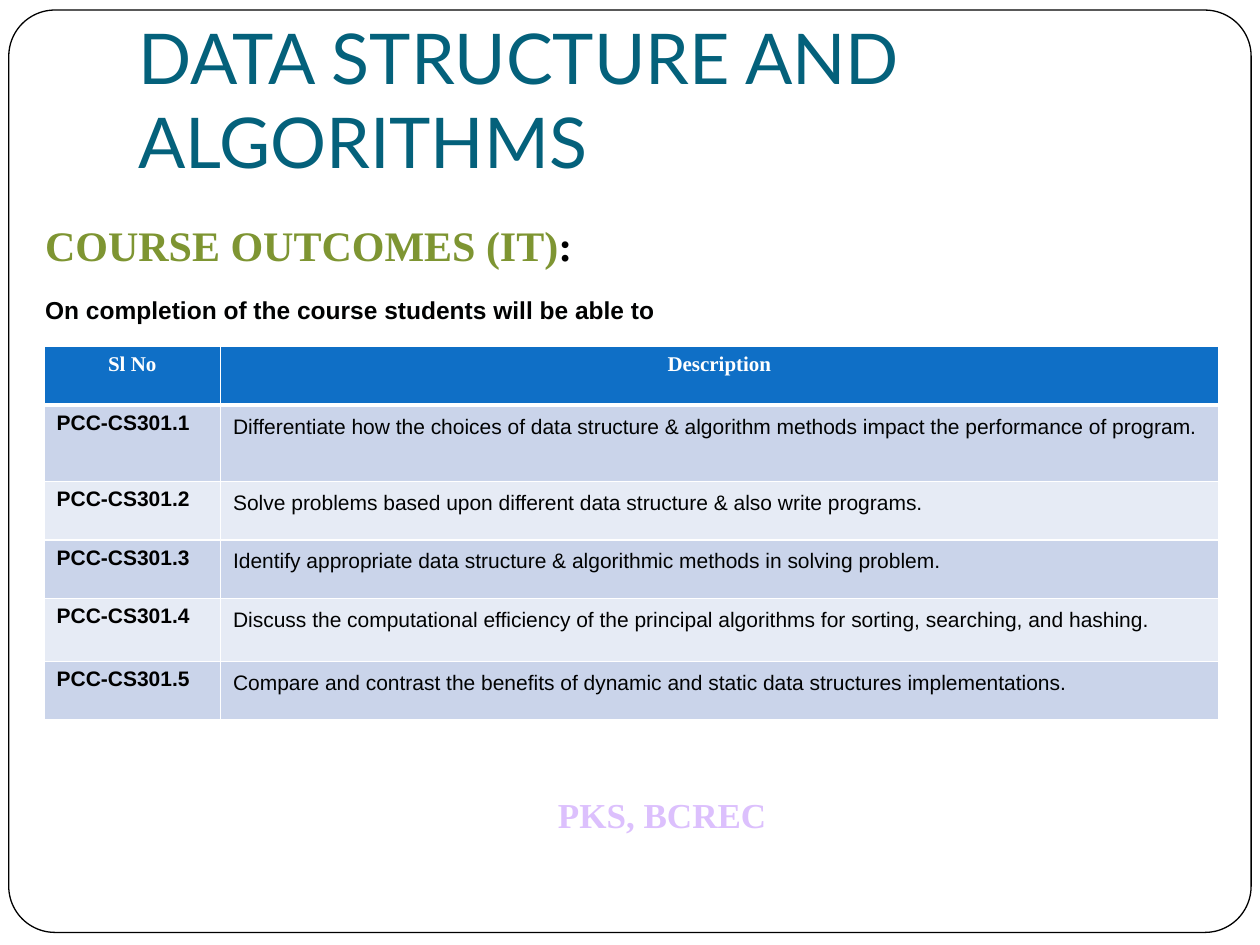
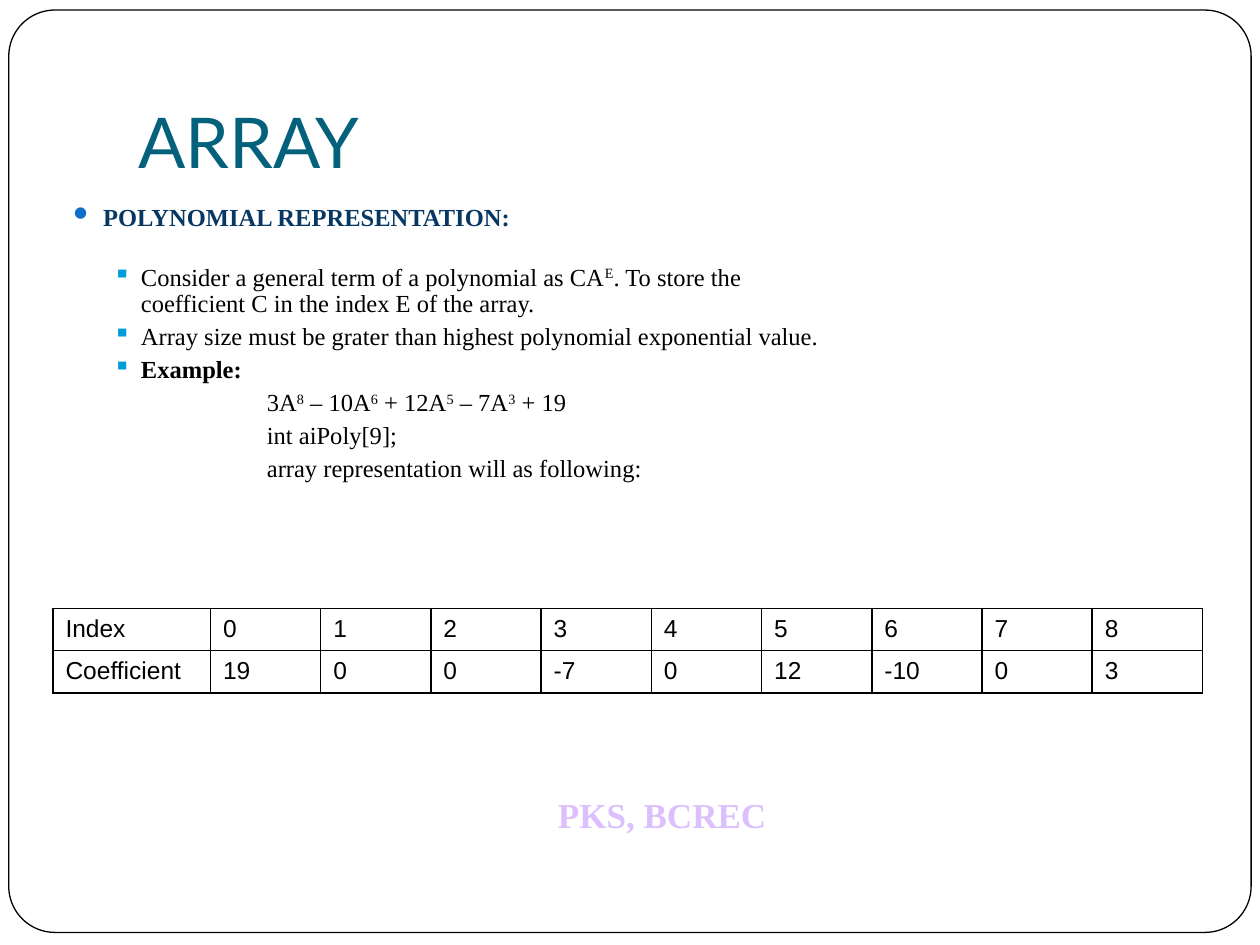
from lxml.etree import SubElement
from pptx import Presentation
from pptx.dml.color import RGBColor
from pptx.enum.shapes import MSO_SHAPE
from pptx.enum.text import MSO_ANCHOR, PP_ALIGN
from pptx.oxml.ns import qn
from pptx.util import Inches, Pt

BLACK = RGBColor(0x00, 0x00, 0x00)
WHITE = RGBColor(0xFF, 0xFF, 0xFF)
INK = RGBColor(0x01, 0x02, 0x02)
TEAL = RGBColor(0x04, 0x61, 0x7B)
LILAC = RGBColor(0xDC, 0xC0, 0xFD)
OLIVE = RGBColor(0x7E, 0x95, 0x32)
NAVY = RGBColor(0x07, 0x37, 0x63)
BLUE = RGBColor(0x0F, 0x6F, 0xC6)
SKY = RGBColor(0x00, 0x9D, 0xD9)
BAND_DARK = RGBColor(0xCA, 0xD4, 0xEA)
BAND_LIGHT = RGBColor(0xE6, 0xEB, 0xF5)
SERIF, SANS, TITLE_FONT = "Times New Roman", "Arial", "Lato"

# The slide is a grid of 100 columns by 75 rows.
U = Inches(0.1)

prs = Presentation()
prs.slide_width, prs.slide_height = 100 * U, 75 * U


def add_text(s, box, lines):
    """Add a text box; each line is a list of (text, font, size, colour, bold)."""
    tf = s.shapes.add_textbox(*[int(n * U) for n in box]).text_frame
    tf.word_wrap = True
    for i, line in enumerate(lines):
        p = tf.add_paragraph() if i else tf.paragraphs[0]
        for text, font, size, colour, bold in line:
            r = p.add_run()
            r.text = text
            r.font.name, r.font.size, r.font.bold = font, Pt(size), bold
            r.font.color.rgb = colour
    return tf


def add_grid(s, left, top, widths, heights, rows, border):
    """Add a table with 1 pt borders on every cell."""
    table = s.shapes.add_table(len(rows), len(widths), int(left * U), int(top * U),
                               int(sum(widths) * U), int(sum(heights) * U)).table
    table.first_row = table.horz_banding = False
    for column, width in zip(table.columns, widths):
        column.width = int(width * U)
    for row, height, texts in zip(table.rows, heights, rows):
        row.height = int(height * U)
        for cell, text in zip(row.cells, texts):
            cell.text = text
            tcPr = cell._tc.get_or_add_tcPr()
            for side in ("lnL", "lnR", "lnT", "lnB"):
                ln = SubElement(tcPr, qn(f"a:{side}"), w=str(Pt(1)))
                fill = SubElement(ln, qn("a:solidFill"))
                SubElement(fill, qn("a:srgbClr"), val=str(border))
    return table


# Frame, footer and title on both slides
slides = []
for title in ("DATA STRUCTURE AND ALGORITHMS", "ARRAY"):
    s = prs.slides.add_slide(prs.slide_layouts[6])
    frame = s.shapes.add_shape(MSO_SHAPE.ROUNDED_RECTANGLE, int(0.7 * U), int(0.8 * U),
                               int(98.6 * U), int(73.2 * U))
    frame.adjustments[0] = 0.05
    frame.shadow.inherit = False
    frame.fill.solid()
    frame.fill.fore_color.rgb = WHITE
    frame.line.color.rgb = BLACK
    frame.line.width = Pt(0.75)
    add_text(s, (43.3, 62.5, 21.2, 4.4), [[("PKS, BCREC", SERIF, 20, LILAC, True)]])
    tf = add_text(s, (10, 3, 85, 12.5), [[(title, TITLE_FONT, 40, TEAL, False)]])
    tf.vertical_anchor = MSO_ANCHOR.BOTTOM
    tf.margin_bottom = U
    slides.append(s)
outcomes_slide, array_slide = slides

# Course outcomes
tf = add_text(outcomes_slide, (2.6, 16.9, 68.3, 6.4), [
    [("COURSE OUTCOMES (IT)", SERIF, 24, OLIVE, True), (":", SERIF, 24, BLACK, True)],
    [("On completion of the course students will be able to", SANS, 14, INK, True)],
])
intro = tf.paragraphs[1]
intro.line_spacing = 1.15
intro.space_before = intro.space_after = Pt(12)

outcomes = [
    "Differentiate how the choices of data structure & algorithm methods impact the performance of program.",
    "Solve problems based upon different data structure & also write programs.",
    "Identify appropriate data structure & algorithmic methods in solving problem.",
    "Discuss the computational efficiency of the principal algorithms for sorting, searching, and hashing.",
    "Compare and contrast the benefits of dynamic and static data structures implementations.",
]
rows = [("Sl No", "Description")]
rows += [(f"PCC-CS301.{n}", text) for n, text in enumerate(outcomes, 1)]
table = add_grid(outcomes_slide, 3.5, 27.5, (14, 79.2), (4.65, 6.05, 4.65, 4.65, 5, 4.65),
                 rows, WHITE)
for i, row in enumerate(table.rows):
    for j, cell in enumerate(row.cells):
        header = i == 0
        cell.fill.solid()
        cell.fill.fore_color.rgb = BLUE if header else BAND_DARK if i % 2 else BAND_LIGHT
        p = cell.text_frame.paragraphs[0]
        if header:
            p.alignment = PP_ALIGN.CENTER
            cell._tc.tcPr.find(qn("a:lnB")).set("w", str(Pt(3)))
        elif j == 1:
            p.line_spacing = 1.15
        font = p.runs[0].font
        font.name, font.size = SERIF if header else SANS, Pt(12)
        font.bold = header or j == 0
        font.color.rgb = WHITE if header else INK if j else BLACK
# The header's thick rule is also the top edge of the first outcome
for cell in table.rows[1].cells:
    cell._tc.tcPr.find(qn("a:lnT")).set("w", str(Pt(3)))

# Polynomial as an array: text between ^ marks is superscript
DOT, SQUARE = ("⚫", BLUE), ("▪", SKY)
points = [  # text, bullet, left margin, hanging indent, space before, bold
    ("POLYNOMIAL REPRESENTATION:", DOT, 3, 2.6, 0, True),
    ("Consider a general term of a polynomial as CA^E^. To store the coefficient C "
     "in the index E of the array.", SQUARE, 6, 2.2, 19, False),
    ("Array size must be grater than highest polynomial exponential value.",
     SQUARE, 6, 2.2, 3.7, False),
    ("Example:", SQUARE, 6, 2.2, 3.7, True),
    ("3A^8^ – 10A^6^ + 12A^5^ – 7A^3^ + 19", None, 16, 0, 3.7, False),
    ("int aiPoly[9];", None, 16, 0, 3.7, False),
    ("array representation will as following:", None, 16, 0, 3.7, False),
]
lines = [[(part, SERIF, 14, NAVY if bullet == DOT else BLACK, bold) for part in text.split("^")]
         for text, bullet, _, _, _, bold in points]
tf = add_text(array_slide, (4.2, 15.8, 64.2, 38.3), lines)
for p, (_, bullet, margin, hang, before, _) in zip(tf.paragraphs, points):
    pPr = p._p.get_or_add_pPr()
    pPr.set("marL", str(int(margin * U)))
    pPr.set("indent", str(int(-hang * U)))
    if bullet:
        char, colour = bullet
        SubElement(SubElement(pPr, qn("a:buClr")), qn("a:srgbClr"), val=str(colour))
        SubElement(pPr, qn("a:buChar"), char=char)
    p.line_spacing = 0.9
    p.space_before = Pt(before)
    for r in p.runs[1::2]:
        r._r.get_or_add_rPr().set("baseline", "30000")

coefficients = {0: 19, 3: -7, 5: 12, 6: -10, 8: 3}
rows = [["Index"] + [str(n) for n in range(9)],
        ["Coefficient"] + [str(coefficients.get(n, 0)) for n in range(9)]]
table = add_grid(array_slide, 4.2, 48.3, [12.5] + [8.75] * 9, (3.35, 3.35), rows, BLACK)
for cell in table.iter_cells():
    cell.fill.background()
    font = cell.text_frame.paragraphs[0].runs[0].font
    font.name, font.size, font.bold = SANS, Pt(14), False
    font.color.rgb = BLACK

prs.save("out.pptx")
